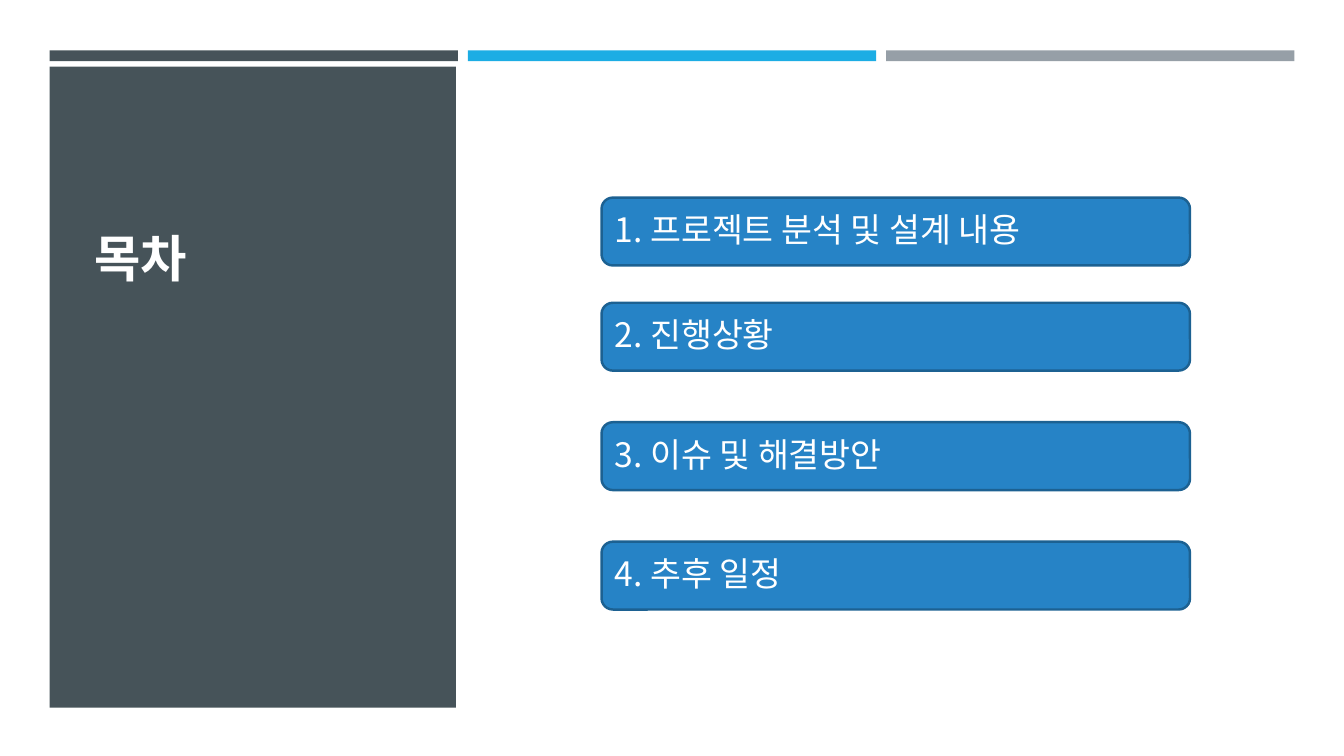
from dataclasses import dataclass

from pptx import Presentation
from pptx.dml.color import RGBColor
from pptx.enum.shapes import MSO_SHAPE
from pptx.enum.text import MSO_ANCHOR, PP_ALIGN
from pptx.util import Cm, Pt

RECTANGLE = MSO_SHAPE.RECTANGLE
ROUNDED = MSO_SHAPE.ROUNDED_RECTANGLE
MIDDLE, BOTTOM = MSO_ANCHOR.MIDDLE, MSO_ANCHOR.BOTTOM
LEFT = PP_ALIGN.LEFT


@dataclass(frozen=True)
class Theme:
    """Colours, font and type sizes of the slide."""
    slate: str = "465359"
    cyan: str = "1CADE4"
    grey: str = "969FA7"
    blue: str = "2683C6"
    blue_edge: str = "1C6192"
    white: str = "FFFFFF"
    font: str = "Noto Sans CJK KR"
    title_size: int = 36
    item_size: int = 24


theme = Theme()
deck = Presentation()
deck.slide_width, deck.slide_height = Cm(33.87), Cm(19.05)
page = deck.slides.add_slide(deck.slide_layouts[6])


def add_block(kind, left, top, width, height, color):
    """Add a filled shape without outline or shadow; lengths in cm."""
    block = page.shapes.add_shape(kind, Cm(left), Cm(top), Cm(width), Cm(height))
    block.shadow.inherit = False
    block.fill.solid()
    block.fill.fore_color.rgb = RGBColor.from_string(color)
    block.line.fill.background()
    return block


def write(box, text, size, anchor, bold=False):
    """Write one white, left-aligned line into a box and return its paragraph."""
    frame = box.text_frame
    frame.word_wrap = True
    frame.vertical_anchor = anchor
    para = frame.paragraphs[0]
    para.alignment = LEFT
    span = para.add_run()
    span.text = text
    span.font.name = theme.font
    span.font.size = Pt(size)
    span.font.bold = bold
    span.font.color.rgb = RGBColor.from_string(theme.white)
    return para


# Header bars and the title panel
margin, bar_pitch = 1.25, 10.54
for column, color in enumerate((theme.slate, theme.cyan, theme.grey)):
    add_block(RECTANGLE, margin + column * bar_pitch, 1.27, 10.29, 0.27, color)
add_block(RECTANGLE, margin, 1.68, 10.24, 16.15, theme.slate)

title = page.shapes.add_textbox(Cm(2.13), Cm(2.59), Cm(8.43), Cm(4.78))
write(title, "목차", theme.title_size, BOTTOM, bold=True)

# Agenda entries
agenda = (
    (4.98, "1. 프로젝트 분석 및 설계 내용"),
    (7.63, "2. 진행상황"),
    (10.64, "3. 이슈 및 해결방안"),
    (13.65, "4. 추후 일정"),
)
for top, text in agenda:
    entry = add_block(ROUNDED, 15.16, top, 14.83, 1.71, theme.blue)
    entry.line.color.rgb = RGBColor.from_string(theme.blue_edge)
    entry.line.width = Pt(1.75)
    para = write(entry, text, theme.item_size, MIDDLE)
    para.line_spacing = 0.9
    para.space_after = Pt(8.4)

deck.save("out.pptx")
